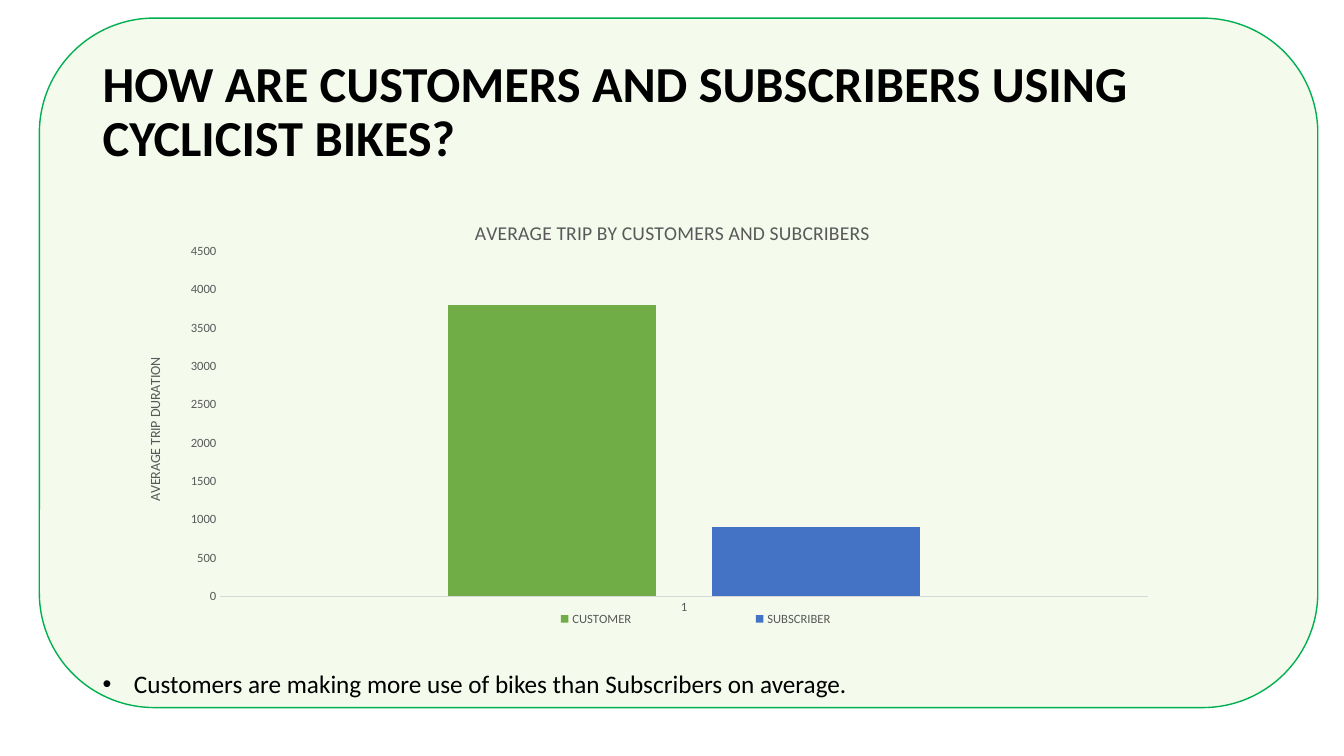
from dataclasses import dataclass

import pptx
import pptx.chart.data
import pptx.dml.color
import pptx.enum.chart
import pptx.enum.shapes
import pptx.enum.text
import pptx.oxml
import pptx.oxml.ns
import pptx.util

Inches = pptx.util.Inches
Pt = pptx.util.Pt
RGBColor = pptx.dml.color.RGBColor
qn = pptx.oxml.ns.qn

FONT = "Calibri"
BLACK = RGBColor(0x00, 0x00, 0x00)
GRAY = RGBColor(0x59, 0x59, 0x59)
AXIS_GRAY = RGBColor(0xD9, 0xD9, 0xD9)
PALE_GREEN = RGBColor(0xF4, 0xFA, 0xEC)
BORDER_GREEN = RGBColor(0x00, 0xB0, 0x50)
BAR_GREEN = RGBColor(0x70, 0xAD, 0x47)
BAR_BLUE = RGBColor(0x44, 0x72, 0xC4)

LEFT, WIDTH = 0.92, 11.5


@dataclass
class TextBlock:
    text: str
    top: float
    height: float
    size: int
    bold: bool = False
    bullet: bool = False


@dataclass
class RiderGroup:
    name: str
    trip_duration: int
    color: RGBColor


TEXT_BLOCKS = [
    TextBlock("HOW ARE CUSTOMERS AND SUBSCRIBERS USING CYCLICIST BIKES?",
              0.4, 1.45, 36, bold=True),
    TextBlock("Customers are making more use of bikes than Subscribers on average.",
              6.23, 1.13, 18, bullet=True),
]
RIDER_GROUPS = [
    RiderGroup("CUSTOMER", 3800, BAR_GREEN),
    RiderGroup("SUBSCRIBER", 900, BAR_BLUE),
]


def style_font(font, size: int, color: RGBColor, bold: bool = False) -> None:
    values = {"name": FONT, "size": Pt(size), "bold": bold}
    for attribute, value in values.items():
        setattr(font, attribute, value)
    font.color.rgb = color


def add_panel(slide) -> None:
    panel = slide.shapes.add_shape(
        pptx.enum.shapes.MSO_SHAPE.ROUNDED_RECTANGLE,
        Inches(0.39), Inches(0.18), Inches(12.68), Inches(6.84))
    panel.shadow.inherit = False
    panel.fill.solid()
    panel.fill.fore_color.rgb = PALE_GREEN
    panel.line.color.rgb = BORDER_GREEN
    panel.line.width = Pt(1)


def add_text(slide, block: TextBlock) -> None:
    box = slide.shapes.add_textbox(
        Inches(LEFT), Inches(block.top), Inches(WIDTH), Inches(block.height))
    frame = box.text_frame
    frame.word_wrap = True
    frame.vertical_anchor = pptx.enum.text.MSO_ANCHOR.MIDDLE
    paragraph = frame.paragraphs[0]
    paragraph.line_spacing = 0.9
    run = paragraph.add_run()
    run.text = block.text
    style_font(run.font, block.size, BLACK, block.bold)
    if block.bullet:
        properties = paragraph._p.get_or_add_pPr()
        properties.set("marL", str(Inches(0.31)))
        properties.set("indent", str(-Inches(0.31)))
        for tag, key, value in (("buFont", "typeface", "Arial"), ("buChar", "char", "•")):
            mark = pptx.oxml.parse_xml(
                f'<a:{tag} {pptx.oxml.ns.nsdecls("a")} {key}="{value}"/>')
            properties.append(mark)


def set_layout(part, position: int, x: float, y: float, w: float, h: float,
               inner: bool = False) -> None:
    """Place a chart part by fractions of the chart area."""
    for previous in part.findall(qn("c:layout")):
        part.remove(previous)
    target = '<c:layoutTarget val="inner"/>' if inner else ""
    part.insert(position, pptx.oxml.parse_xml(
        f'<c:layout {pptx.oxml.ns.nsdecls("c")}><c:manualLayout>{target}'
        '<c:xMode val="edge"/><c:yMode val="edge"/>'
        f'<c:x val="{x}"/><c:y val="{y}"/><c:w val="{w}"/><c:h val="{h}"/>'
        '</c:manualLayout></c:layout>'))


def set_title(titled, text: str, size: int) -> None:
    """Give a chart or an axis its title."""
    titled.has_title = True
    frame = (titled.chart_title if hasattr(titled, "chart_title") else titled.axis_title).text_frame
    frame.text = text
    style_font(frame.paragraphs[0].runs[0].font, size, GRAY)


def add_trip_chart(slide) -> None:
    trips = pptx.chart.data.CategoryChartData()
    trips.categories = ["1"]
    for group in RIDER_GROUPS:
        trips.add_series(group.name, [group.trip_duration])
    chart = slide.shapes.add_chart(
        pptx.enum.chart.XL_CHART_TYPE.COLUMN_CLUSTERED,
        Inches(LEFT), Inches(2), Inches(WIDTH), Inches(4.5), trips).chart
    style_font(chart.font, 10, BLACK)
    set_title(chart, "AVERAGE TRIP BY CUSTOMERS AND SUBCRIBERS", 14)

    plot = chart.plots[0]
    for attribute, value in {"gap_width": 219, "overlap": -27,
                             "vary_by_categories": False}.items():
        setattr(plot, attribute, value)
    for series, group in zip(plot.series, RIDER_GROUPS):
        series.format.fill.solid()
        series.format.fill.fore_color.rgb = group.color

    for axis in (chart.category_axis, chart.value_axis):
        axis.has_major_gridlines = False
        axis.major_tick_mark = pptx.enum.chart.XL_TICK_MARK.NONE
        axis.minor_tick_mark = pptx.enum.chart.XL_TICK_MARK.NONE
        style_font(axis.tick_labels.font, 9, GRAY)
    chart.category_axis.format.line.color.rgb = AXIS_GRAY
    chart.category_axis.format.line.width = Pt(0.75)
    durations = chart.value_axis
    durations.format.line.fill.background()
    for attribute, value in {"minimum_scale": 0, "maximum_scale": 4500,
                             "major_unit": 500}.items():
        setattr(durations, attribute, value)
    set_title(durations, "AVERAGE TRIP DURATION", 10)

    chart.has_legend = True
    chart.legend.position = pptx.enum.chart.XL_LEGEND_POSITION.BOTTOM
    chart.legend.include_in_layout = False
    style_font(chart.legend.font, 9, GRAY)

    plot_area, legend = chart.element.xpath("c:chart/c:plotArea | c:chart/c:legend")
    set_layout(plot_area, 0, 0.11, 0.11, 0.8, 0.76, inner=True)
    set_layout(legend, 1, 0.3, 0.89, 0.44, 0.06)


def main() -> None:
    deck = pptx.Presentation()
    deck.slide_width, deck.slide_height = Inches(13.33), Inches(7.5)
    slide = deck.slides.add_slide(deck.slide_layouts[6])
    add_panel(slide)
    add_trip_chart(slide)
    for block in TEXT_BLOCKS:
        add_text(slide, block)
    deck.save("out.pptx")


if __name__ == "__main__":
    main()
